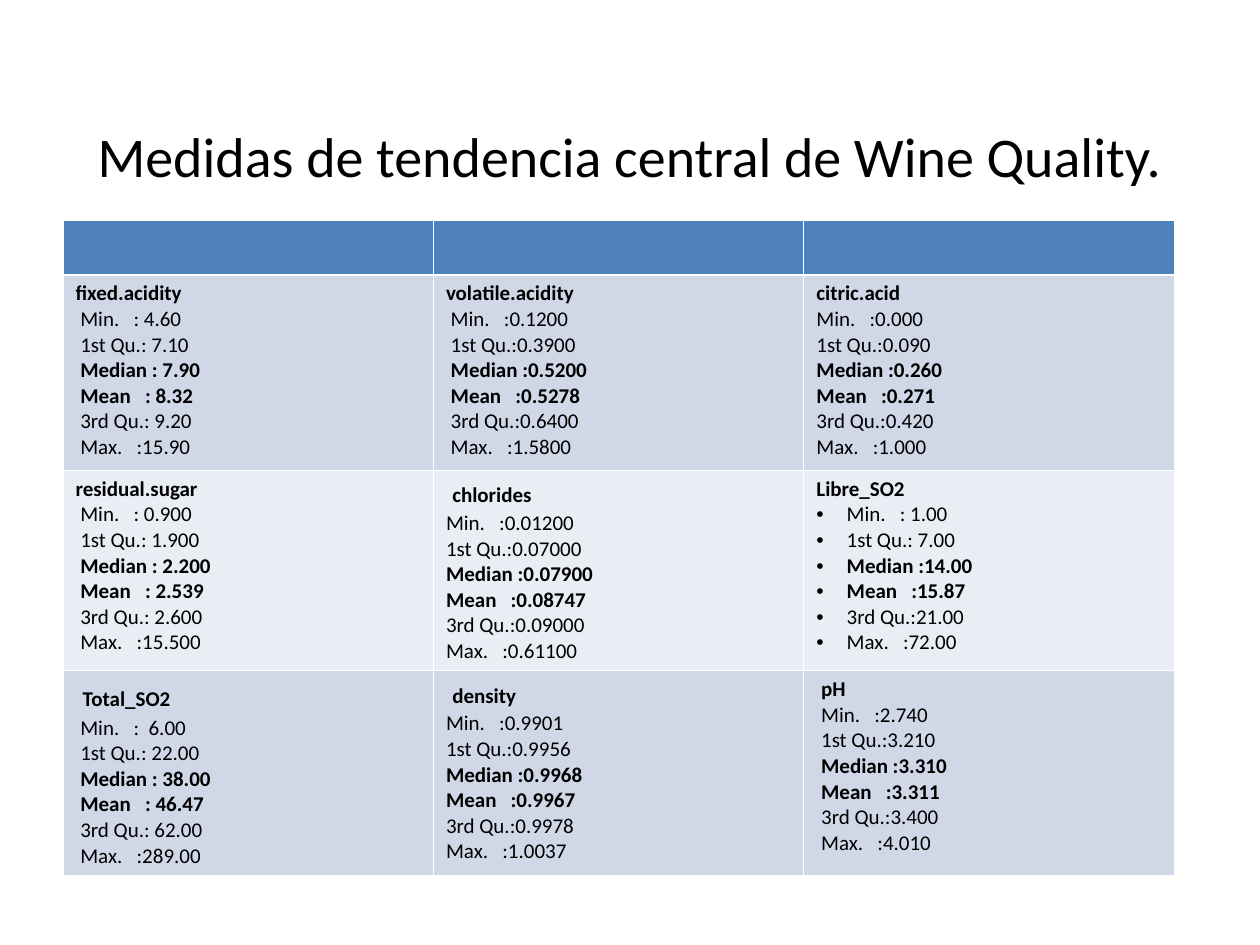
import pptx
import pptx.util
import pptx.dml.color
import pptx.enum.text
import pptx.oxml.ns
from lxml import etree
from pptx.util import Inches

BLACK = pptx.dml.color.RGBColor(0x00, 0x00, 0x00)
WHITE = pptx.dml.color.RGBColor(0xFF, 0xFF, 0xFF)
HEADER_BLUE = pptx.dml.color.RGBColor(0x4F, 0x81, 0xBD)
BAND_DARK = pptx.dml.color.RGBColor(0xD0, 0xD8, 0xE8)
BAND_LIGHT = pptx.dml.color.RGBColor(0xE9, 0xED, 0xF4)
qn = pptx.oxml.ns.qn


def add_run(paragraph, text, size, bold=False):
    run = paragraph.add_run()
    run.text = text
    run.font.name = "Calibri"
    run.font.size = pptx.util.Pt(size)
    run.font.bold = bold
    run.font.color.rgb = BLACK


def add_borders(cell, top, bottom):
    widths = {"a:lnL": 0.5, "a:lnR": 0.5, "a:lnT": top, "a:lnB": bottom}
    for side, width in widths.items():
        line = etree.SubElement(cell._tc.get_or_add_tcPr(), qn(side), w=str(pptx.util.Pt(width)))
        solid = etree.SubElement(line, qn("a:solidFill"))
        etree.SubElement(solid, qn("a:srgbClr"), val=str(WHITE))


deck = pptx.Presentation()
deck.slide_width = Inches(10)
deck.slide_height = Inches(7.5)
slide = deck.slides.add_slide(deck.slide_layouts[5])

# Title
title = slide.shapes.title
title.left, title.top = Inches(0.5), Inches(0.3)
title.width, title.height = Inches(9), Inches(1.25)
title.text_frame.vertical_anchor = pptx.enum.text.MSO_ANCHOR.BOTTOM
heading = title.text_frame.paragraphs[0]
heading.alignment = pptx.enum.text.PP_ALIGN.CENTER
add_run(heading, "Medidas de tendencia central de Wine Quality.", 32)

# Summary of each variable: name, size of its leading space (0 for none),
# start of the statistic lines, and the six values
labels = ["Min.   :", "1st Qu.:", "Median :", "Mean   :", "3rd Qu.:", "Max.   :"]
BULLET = "•"
variables = [
    [("fixed.acidity", 0, " ", [" 4.60", " 7.10", " 7.90", " 8.32", " 9.20", "15.90"]),
     ("volatile.acidity", 0, " ", ["0.1200", "0.3900", "0.5200", "0.5278", "0.6400", "1.5800"]),
     ("citric.acid", 0, "", ["0.000", "0.090", "0.260", "0.271", "0.420", "1.000"])],
    [("residual.sugar", 0, " ", [" 0.900", " 1.900", " 2.200", " 2.539", " 2.600", "15.500"]),
     ("chlorides", 16, "", ["0.01200", "0.07000", "0.07900", "0.08747", "0.09000", "0.61100"]),
     ("Libre_SO2", 0, BULLET, [" 1.00", " 7.00", "14.00", "15.87", "21.00", "72.00"])],
    [("Total_SO2", 18, " ", ["  6.00", " 22.00", " 38.00", " 46.47", " 62.00", "289.00"]),
     ("density", 16, "", ["0.9901", "0.9956", "0.9968", "0.9967", "0.9978", "1.0037"]),
     ("pH", 12, " ", ["2.740", "3.210", "3.310", "3.311", "3.400", "4.010"])],
]

# Table grid
row_heights = [0.43, 1.55, 1.59, 1.62]
column_width = 2.94
summary = slide.shapes.add_table(
    len(row_heights), 3, Inches(0.5), Inches(1.75),
    Inches(3 * column_width), Inches(sum(row_heights))).table
for row, height in zip(summary.rows, row_heights):
    row.height = Inches(height)
for column in summary.columns:
    column.width = Inches(column_width)

# Borders and bands
row_fills = [HEADER_BLUE, BAND_DARK, BAND_LIGHT, BAND_DARK]
for index, (row, fill) in enumerate(zip(summary.rows, row_fills)):
    for cell in row.cells:
        add_borders(cell, 1.5 if index == 1 else 0.5, 1.5 if index == 0 else 0.5)
        cell.fill.solid()
        cell.fill.fore_color.rgb = fill

# Statistics
for row_index, row_variables in enumerate(variables, start=1):
    for column_index, (name, lead_size, start, values) in enumerate(row_variables):
        frame = summary.cell(row_index, column_index).text_frame
        name_line = frame.paragraphs[0]
        name_line.alignment = pptx.enum.text.PP_ALIGN.JUSTIFY
        if lead_size:
            add_run(name_line, " ", lead_size)
        add_run(name_line, name, 12, bold=True)

        for label, value in zip(labels, values):
            statistic = frame.add_paragraph()
            statistic.alignment = pptx.enum.text.PP_ALIGN.JUSTIFY
            if start == BULLET:
                properties = statistic._p.get_or_add_pPr()
                properties.set("marL", str(Inches(0.24)))
                properties.set("indent", str(Inches(-0.24)))
                etree.SubElement(properties, qn("a:buFont"), typeface="Arial")
                etree.SubElement(properties, qn("a:buChar"), char=BULLET)
            prefix = "" if start == BULLET else start
            add_run(statistic, prefix + label + value, 12, bold=label.startswith("Me"))

deck.save("out.pptx")
